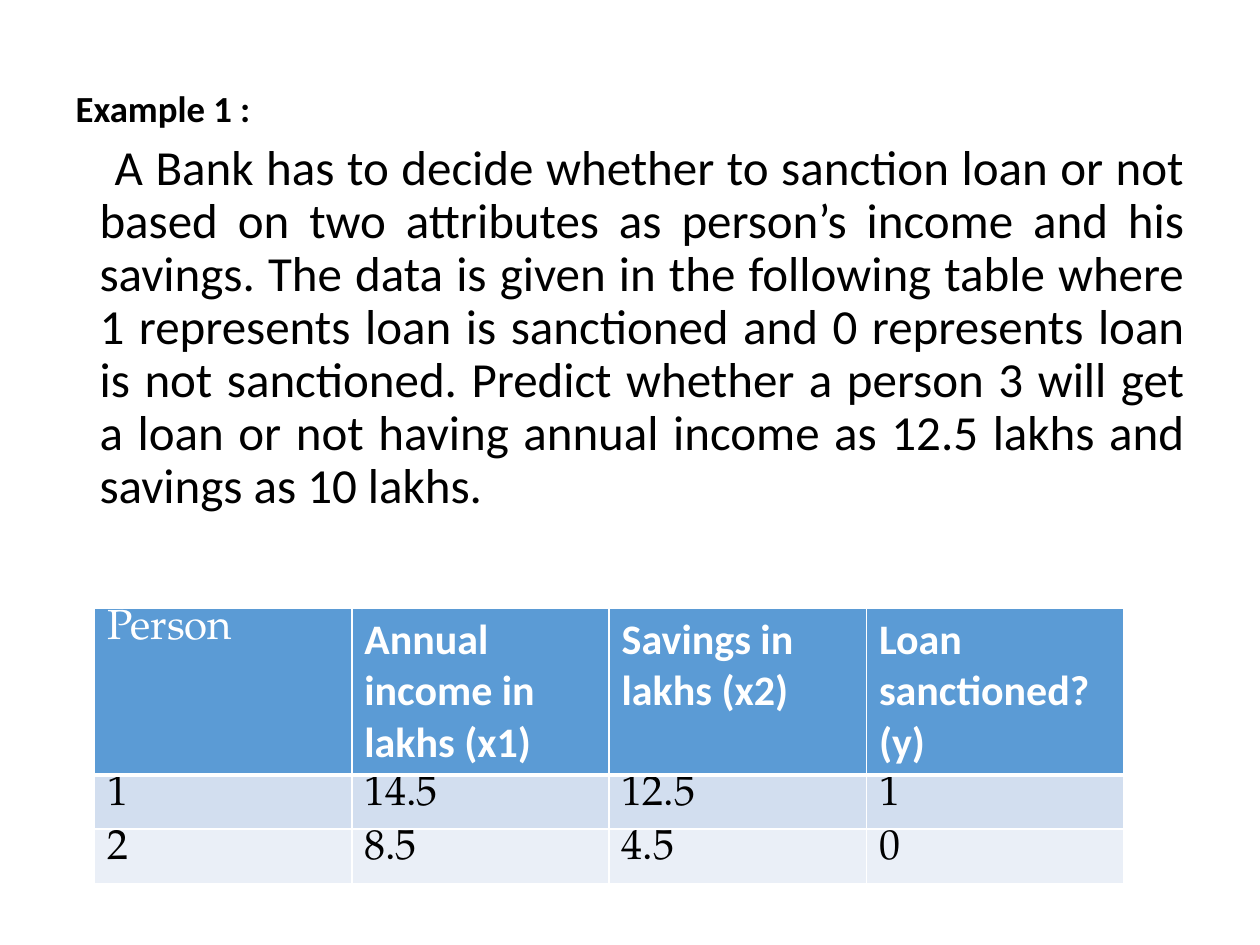
from dataclasses import dataclass

from lxml import etree
from pptx import Presentation, util as u
from pptx.dml.color import RGBColor
from pptx.enum import text
from pptx.oxml.ns import qn

WIDTH, HEIGHT = 10, 7.5
SANS, SERIF = "Calibri", "TeX Gyre Pagella"
BLACK, WHITE = "000000", "FFFFFF"


@dataclass
class Style:
    font: str
    size: float
    color: str = BLACK
    bold: bool = False


@dataclass
class TableRow:
    height: float
    fill: str
    values: list[str]
    styles: list[Style]
    bottom_line: float = 1


def rgb(color: str) -> RGBColor:
    return RGBColor.from_string(color)


def add_run(paragraph, words: str, style: Style) -> None:
    run = paragraph.add_run()
    run.text = words
    font = run.font
    font.name, font.size, font.bold = style.font, u.Pt(style.size), style.bold
    font.color.rgb = rgb(style.color)


def format_paragraph(paragraph, first_indent: float) -> None:
    """Set spacing and a left indent, without a bullet."""
    paragraph.line_spacing = 0.9
    paragraph.space_before = u.Pt(7.5)
    properties = paragraph._p.get_or_add_pPr()
    properties.set("marL", str(u.Inches(0.19)))
    properties.set("indent", str(u.Inches(first_indent)))
    etree.SubElement(properties, qn("a:buNone"))


def add_borders(cell, bottom: float) -> None:
    properties = cell._tc.get_or_add_tcPr()
    for side, width in (("L", 1), ("R", 1), ("T", 1), ("B", bottom)):
        line = etree.SubElement(properties, qn(f"a:ln{side}"), w=str(u.Pt(width)))
        fill = etree.SubElement(line, qn("a:solidFill"))
        etree.SubElement(fill, qn("a:srgbClr"), val=WHITE)


def fill_cell(cell, words: str, style: Style, row: TableRow) -> None:
    add_borders(cell, row.bottom_line)
    cell.fill.solid()
    cell.fill.fore_color.rgb = rgb(row.fill)
    cell.margin_left = cell.margin_right = u.Inches(0.1)
    cell.margin_top = cell.margin_bottom = u.Inches(0 if style.font == SERIF else 0.05)
    add_run(cell.text_frame.paragraphs[0], words, style)


def add_loan_table(slide, rows: list[TableRow]) -> None:
    columns = len(rows[0].values)
    frame = slide.shapes.add_table(
        len(rows), columns, u.Inches(0.75), u.Inches(4.83),
        u.Inches(8.17), u.Inches(sum(row.height for row in rows)))
    table = frame.table
    for r, row in enumerate(rows):
        table.rows[r].height = u.Inches(row.height)
        for c, (words, style) in enumerate(zip(row.values, row.styles)):
            fill_cell(table.cell(r, c), words, style, row)


def add_problem(slide) -> None:
    body = slide.placeholders[1]
    body.left, body.top = u.Inches(0.05 * WIDTH), u.Inches(0.67)
    body.width, body.height = u.Inches(0.9 * WIDTH), u.Inches(6.03)
    frame = body.text_frame
    frame.word_wrap = True
    frame.auto_size = text.MSO_AUTO_SIZE.NONE
    frame.vertical_anchor = text.MSO_ANCHOR.TOP

    heading = frame.paragraphs[0]
    format_paragraph(heading, -0.19)
    add_run(heading, "Example 1 :", Style(SANS, 21, bold=True))

    question = frame.add_paragraph()
    format_paragraph(question, 0.12)
    question.alignment = text.PP_ALIGN.JUSTIFY
    add_run(
        question,
        "A Bank has to decide whether to sanction loan or not based on two "
        "attributes as person’s income and his savings. The data is given in "
        "the following table where 1 represents loan is sanctioned and 0 "
        "represents loan is not sanctioned. Predict whether a person 3 will "
        "get a loan or not having annual income as 12.5 lakhs and savings as "
        "10 lakhs.",
        Style(SANS, 28))


def main() -> None:
    presentation = Presentation()
    presentation.slide_width = u.Inches(WIDTH)
    presentation.slide_height = u.Inches(HEIGHT)
    slide = presentation.slides.add_slide(presentation.slide_layouts[1])
    title = slide.shapes.title.element
    title.getparent().remove(title)

    # Problem statement
    add_problem(slide)

    # Known loan decisions
    header = [Style(SERIF, 24, WHITE)] + [Style(SANS, 24, WHITE, True)] * 3
    data = [Style(SERIF, 24)] * 4
    add_loan_table(slide, [
        TableRow(1.32, "5B9BD5",
                 ["Person", "Annual income in lakhs (x1)",
                  "Savings in lakhs (x2)", "Loan sanctioned? (y)"], header, 3),
        TableRow(0.43, "D2DEEF", ["1", "14.5", "12.5", "1"], data),
        TableRow(0.43, "EAEFF7", ["2", "8.5", "4.5", "0"], data),
    ])
    presentation.save("out.pptx")


if __name__ == "__main__":
    main()
